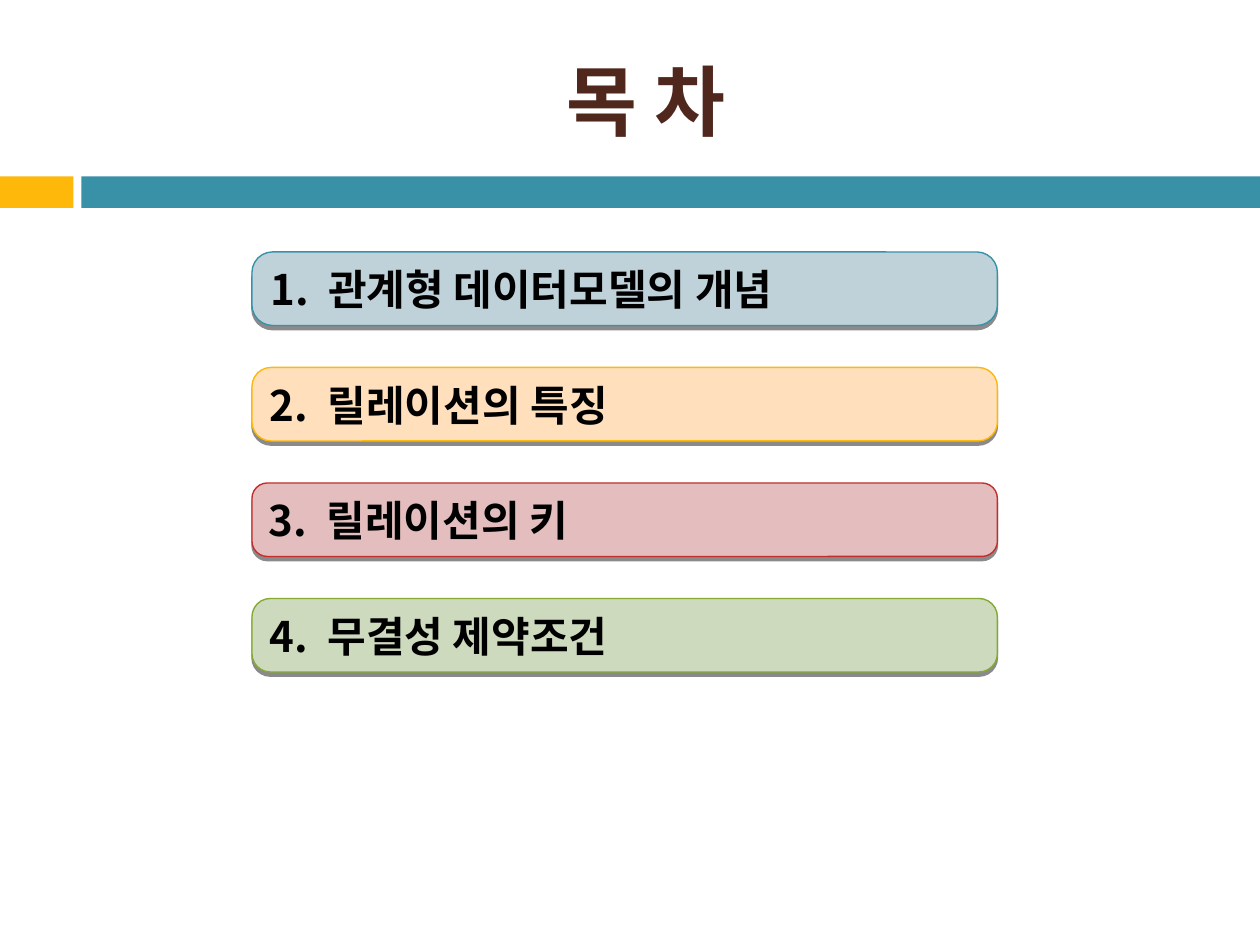
from lxml import etree
from pptx import Presentation
from pptx.dml.color import RGBColor
from pptx.enum.shapes import MSO_SHAPE as Shape
from pptx.enum.text import MSO_ANCHOR as Anchor, PP_ALIGN as Align
from pptx.oxml import parse_xml
from pptx.oxml.ns import nsdecls, qn
from pptx.util import Pt

FONT = "Noto Sans CJK KR"
COLORS = {
    "title": "4F271C", "text": "000000",
    "amber": "FEB80A", "amber_light": "FFDFBC",
    "teal": "3891A7", "teal_light": "BFD2D9",
    "red": "C32D2E", "red_light": "E4BEBE",
    "green": "84AA33", "green_light": "CEDABE",
}


def write(shape, text, size, color, align=Align.LEFT, tab=None):
    frame = shape.text_frame
    frame.word_wrap = True
    frame.vertical_anchor = Anchor.MIDDLE
    paragraph = frame.paragraphs[0]
    paragraph.alignment = align
    if tab:
        tabs = etree.SubElement(paragraph._p.get_or_add_pPr(), qn("a:tabLst"))
        etree.SubElement(tabs, qn("a:tab"), pos=str(Pt(tab)), algn="l")
    run = paragraph.add_run()
    run.text = text
    run.font.size, run.font.bold, run.font.name = Pt(size), True, FONT
    run.font.color.rgb = RGBColor.from_string(COLORS[color])
    etree.SubElement(run._r.get_or_add_rPr(), qn("a:ea"), typeface=FONT)


def add_block(kind, left, top, width, height, fill):
    block = slide.shapes.add_shape(kind, Pt(left), Pt(top), Pt(width), Pt(height))
    block.shadow.inherit = False
    block.fill.solid()
    block.fill.fore_color.rgb = RGBColor.from_string(COLORS[fill])
    block.line.fill.background()
    return block


deck = Presentation()
deck.slide_width, deck.slide_height = Pt(720), Pt(540)
slide = deck.slides.add_slide(deck.slide_layouts[6])

# Band below the title
add_block(Shape.RECTANGLE, 0, 100.8, 42, 18, "amber")
add_block(Shape.RECTANGLE, 46.5, 100.8, 673.5, 18, "teal")

# Title
title = slide.shapes.add_textbox(Pt(48), Pt(18), Pt(642), Pt(78))
write(title, "목 차", size=44, color="title", align=Align.CENTER)

# Contents: one rounded bar per chapter
chapters = [
    ("관계형 데이터모델의 개념", "teal", 0.28),
    ("릴레이션의 특징", "amber", 0.26),
    ("릴레이션의 키", "red", 0.21),
    ("무결성 제약조건", "green", 0.25),
]
for index, (chapter, hue, rounding) in enumerate(chapters):
    bar = add_block(Shape.ROUNDED_RECTANGLE, 144, 144 + 66 * index, 426, 42, hue + "_light")
    bar.adjustments[0] = rounding
    bar.line.color.rgb = RGBColor.from_string(COLORS[hue])
    bar.line.width = Pt(0.79)
    bar._element.spPr.find(qn("a:effectLst")).append(parse_xml(
        f'<a:outerShdw {nsdecls("a")} blurRad="0" dist="{Pt(2.4)}" dir="5400000" rotWithShape="0">'
        '<a:srgbClr val="000000"><a:alpha val="45000"/></a:srgbClr></a:outerShdw>'))
    write(bar, f"{index + 1}.\t{chapter}", size=24, color="text", tab=33)

deck.save("out.pptx")
